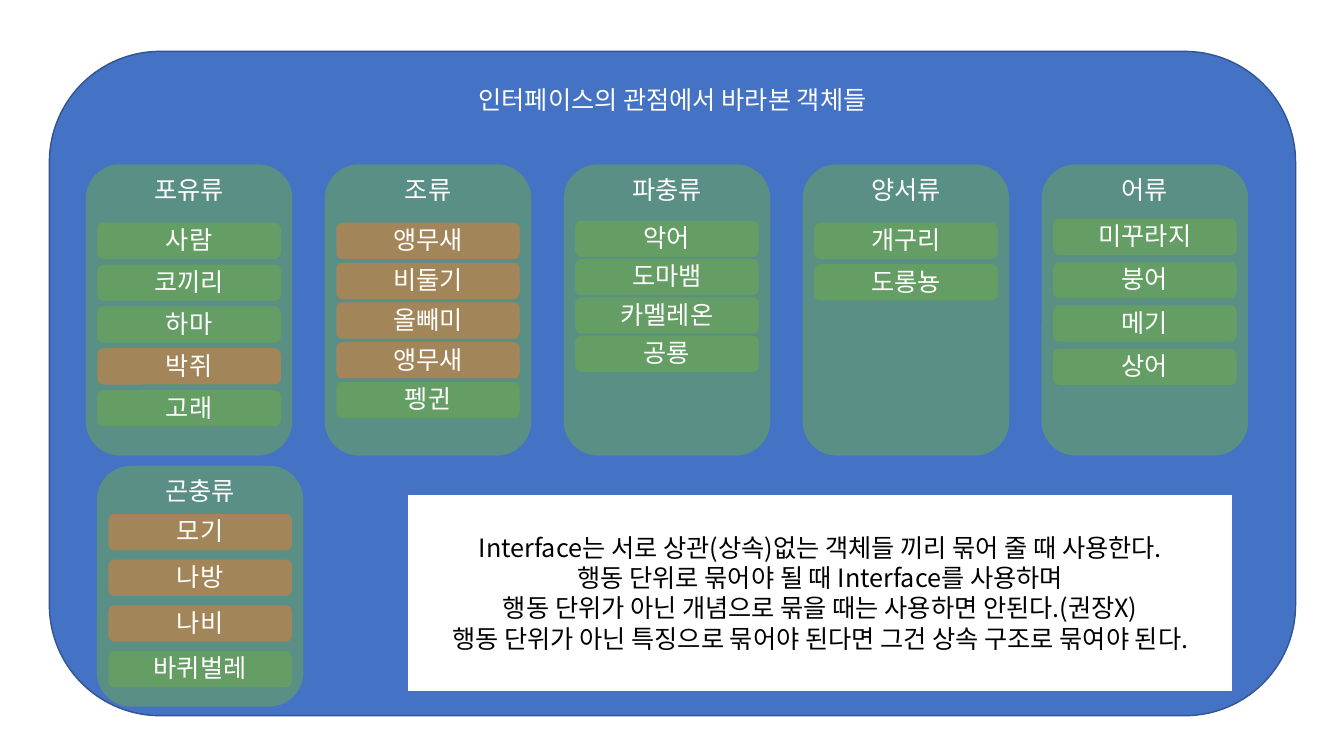
from lxml import etree
from pptx import Presentation
from pptx.dml.color import RGBColor
from pptx.enum.shapes import MSO_SHAPE
from pptx.enum.text import MSO_ANCHOR, PP_ALIGN
from pptx.oxml.ns import qn
from pptx.util import Inches, Pt

ROUNDED = MSO_SHAPE.ROUNDED_RECTANGLE
RECTANGLE = MSO_SHAPE.RECTANGLE
TOP = MSO_ANCHOR.TOP
MIDDLE = MSO_ANCHOR.MIDDLE
CENTER = PP_ALIGN.CENTER

FONT = "Noto Sans CJK KR"
COLORS = {
    "panel": "4472C4",
    "panel_line": "325491",
    "ground": "70AD47",
    "flying": "ED7D31",
    "white": "FFFFFF",
    "black": "000000",
}

PANEL_BOX = (0.49, 0.51, 12.36, 6.59)
NOTE_BOX = (4.04, 4.9, 8.19, 1.96)
CARD_LEFT, CARD_TOP, CARD_PITCH = 0.85, 1.63, 2.37
CARD_WIDTH, CARD_HEIGHT = 2.05, 2.89
INSECT_BOX = (0.96, 4.62, CARD_WIDTH, 2.39)
ANIMAL_WIDTH, ANIMAL_HEIGHT = 1.82, 0.36

TITLE = "인터페이스의 관점에서 바라본 객체들"
CLASSES = [
    ("포유류", 0.58, 0.415, ["사람", "코끼리", "하마", "박쥐", "고래"]),
    ("조류", 0.58, 0.395, ["앵무새", "비둘기", "올빼미", "앵무새", "펭귄"]),
    ("파충류", 0.56, 0.38, ["악어", "도마뱀", "카멜레온", "공룡"]),
    ("양서류", 0.58, 0.41, ["개구리", "도롱뇽"]),
    ("어류", 0.54, 0.43, ["미꾸라지", "붕어", "메기", "상어"]),
]
INSECTS = ("곤충류", 0.48, 0.453, ["모기", "나방", "나비", "바퀴벌레"])
FLYING = {"박쥐", "앵무새", "비둘기", "올빼미", "모기", "나방", "나비"}
NOTE = [
    "Interface는 서로 상관(상속)없는 객체들 끼리 묶어 줄 때 사용한다.",
    "행동 단위로 묶어야 될 때 Interface를 사용하며",
    "행동 단위가 아닌 개념으로 묶을 때는 사용하면 안된다.(권장X)",
    "행동 단위가 아닌 특징으로 묶어야 된다면 그건 상속 구조로 묶여야 된다.",
]


def rgb(name):
    return RGBColor.from_string(COLORS[name])


def write_text(shape, lines, color="white", anchor=TOP, top_inset=0):
    frame = shape.text_frame
    frame.word_wrap = True
    frame.vertical_anchor = anchor
    frame.margin_top = Inches(top_inset)
    frame.text = "\n".join(lines)
    for paragraph in frame.paragraphs:
        paragraph.alignment = CENTER
        paragraph.line_spacing = Pt(21.6)
        font = paragraph.runs[0].font
        font.name = FONT
        font.size = Pt(18)
        font.color.rgb = rgb(color)
        east_asian = etree.SubElement(font._element, qn("a:ea"))
        east_asian.set("typeface", FONT)


def add_block(slide, box, fill, kind=ROUNDED, line=None, opacity=None):
    shape = slide.shapes.add_shape(kind, *map(Inches, box))
    shape.shadow.inherit = False
    shape.fill.solid()
    shape.fill.fore_color.rgb = rgb(fill)
    if opacity:
        color = shape.fill._xPr.find(qn("a:solidFill"))[0]
        etree.SubElement(color, qn("a:alpha")).set("val", str(opacity * 1000))
    if line:
        shape.line.color.rgb = rgb(line)
        shape.line.width = Pt(1)
    else:
        shape.line.fill.background()
    return shape


def add_panel(slide, box):
    panel = add_block(slide, box, "panel", line="panel_line")
    write_text(panel, [TITLE])


def add_class_card(slide, box, name, first_row, row_pitch, animals):
    left, top, width, _ = box
    write_text(add_block(slide, box, "ground", opacity=50), [name])
    animal_left = left + (width - ANIMAL_WIDTH) / 2
    for row, animal in enumerate(animals):
        animal_top = top + first_row + row * row_pitch
        animal_box = (animal_left, animal_top, ANIMAL_WIDTH, ANIMAL_HEIGHT)
        fill = "flying" if animal in FLYING else "ground"
        write_text(add_block(slide, animal_box, fill, opacity=50), [animal])


def add_note(slide, box):
    note = add_block(slide, box, "white", kind=RECTANGLE, line="panel")
    write_text(note, NOTE, color="black", anchor=MIDDLE, top_inset=0.05)


def main():
    presentation = Presentation()
    presentation.slide_width = Inches(13.33)
    presentation.slide_height = Inches(7.5)
    slide = presentation.slides.add_slide(presentation.slide_layouts[6])
    add_panel(slide, PANEL_BOX)
    for column, animal_class in enumerate(CLASSES):
        left = CARD_LEFT + column * CARD_PITCH
        card_box = (left, CARD_TOP, CARD_WIDTH, CARD_HEIGHT)
        add_class_card(slide, card_box, *animal_class)
    add_class_card(slide, INSECT_BOX, *INSECTS)
    add_note(slide, NOTE_BOX)
    presentation.save("out.pptx")


if __name__ == "__main__":
    main()
